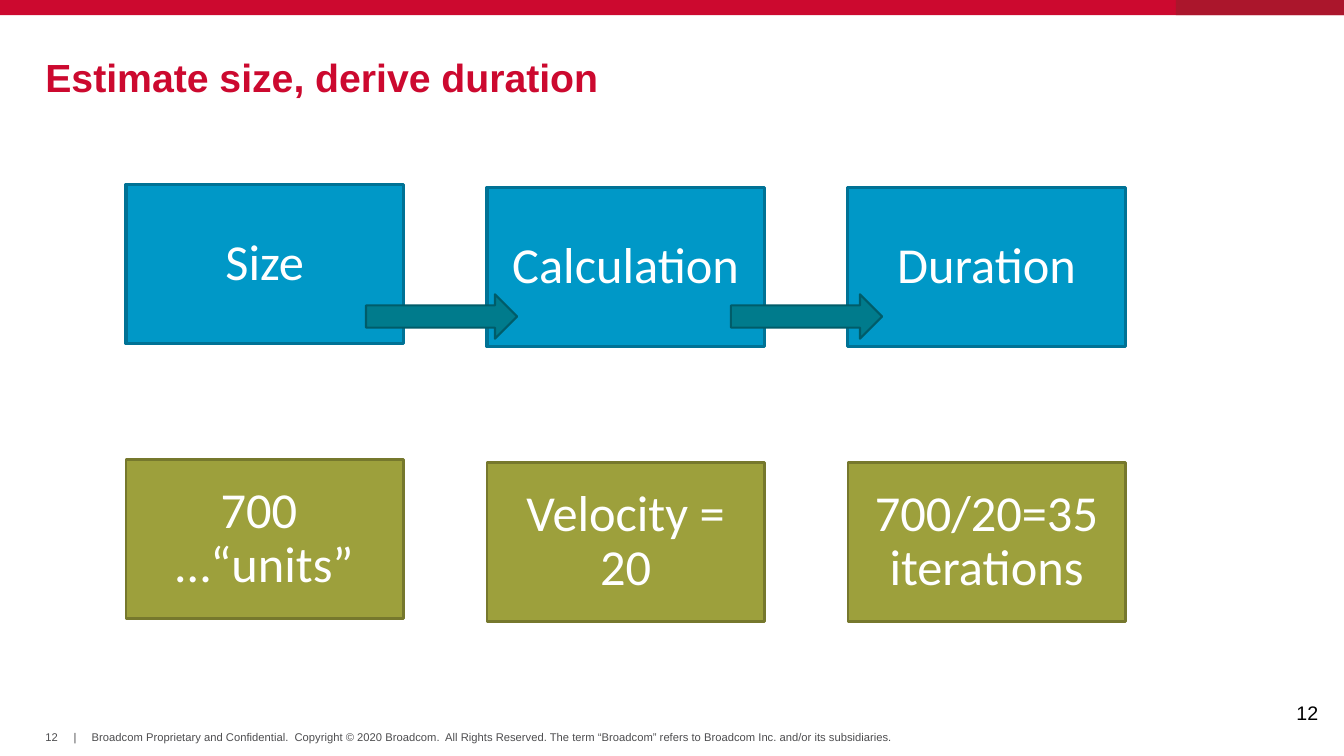
from pptx import Presentation
from pptx.dml.color import RGBColor
from pptx.enum.shapes import MSO_SHAPE
from pptx.enum.text import MSO_ANCHOR, PP_ALIGN
from pptx.util import Inches, Pt

RECT, ARROW = MSO_SHAPE.RECTANGLE, MSO_SHAPE.RIGHT_ARROW
TOP, MIDDLE = MSO_ANCHOR.TOP, MSO_ANCHOR.MIDDLE
LEFT, CENTER = PP_ALIGN.LEFT, PP_ALIGN.CENTER
TITLE_ONLY = 5

COLORS = {
    "red": "CC092F", "dark_red": "AB162C", "grey": "4D4D4F", "black": "000000",
    "white": "FFFFFF", "blue": "0098C7", "blue_edge": "007295",
    "teal": "007B8C", "teal_edge": "005C69", "olive": "9DA03C", "olive_edge": "76782D",
}
SLIDE_W, SLIDE_H = 13.33, 7.5
MARGIN = 0.45
BAND_H = SLIDE_H / 50
ACCENT_W = SLIDE_W / 8
FOOTER_Y, FOOTER_H = 7.25, 0.13
GRID_X, GRID_Y = 1.25, 1.83
COLUMN_STEP, ROW_STEP = 3.58, 2.73
BOX_W, BOX_H = 2.75, 1.58
COLUMN_DROPS = (0, 0.03, 0.03)
ARROW_X, ARROW_Y, ARROW_STEP = 3.63, 2.92, 3.62
ARROW_W, ARROW_H = 1.5, 0.44
PAGE = "12"
COPYRIGHT = ("Broadcom Proprietary and Confidential.  Copyright © 2020 Broadcom.  "
             "All Rights Reserved. The term “Broadcom” refers to Broadcom Inc. "
             "and/or its subsidiaries.")
STEPS = (["Size"], ["Calculation"], ["Duration"])
EXAMPLES = (["700 ", "…“units”"], ["Velocity = 20"], ["700/20=35 iterations"])


def rgb(name):
    """Return the named colour."""
    return RGBColor.from_string(COLORS[name])


def write(frame, lines, size, color, font="Arial", bold=False, align=LEFT,
          anchor=TOP, spacing=1.0, inset=(0, 0), wrap=True):
    """Fill a text frame with one formatted paragraph per line."""
    frame.word_wrap = wrap
    frame.vertical_anchor = anchor
    frame.margin_left = frame.margin_right = Inches(inset[0])
    frame.margin_top = frame.margin_bottom = Inches(inset[1])
    for index, line in enumerate(lines):
        paragraph = frame.add_paragraph() if index else frame.paragraphs[0]
        paragraph.alignment = align
        paragraph.line_spacing = spacing
        paragraph.space_before = Pt(0)
        run = paragraph.add_run()
        run.text = line
        run.font.name = font
        run.font.size = Pt(size)
        run.font.bold = bold
        run.font.color.rgb = rgb(color)


def add_label(slide, text, x, y, width, height, **style):
    """Add a text box holding one line."""
    label = slide.shapes.add_textbox(*map(Inches, (x, y, width, height)))
    write(label.text_frame, [text], **style)


def add_block(slide, kind, x, y, width, height, fill, edge=None, edge_width=0):
    """Add a filled shape with an optional outline."""
    block = slide.shapes.add_shape(kind, *map(Inches, (x, y, width, height)))
    block.shadow.inherit = False
    block.fill.solid()
    block.fill.fore_color.rgb = rgb(fill)
    if edge:
        block.line.color.rgb = rgb(edge)
        block.line.width = Pt(edge_width)
    else:
        block.line.fill.background()
    return block


def add_box_row(slide, row, texts, fill, edge, edge_width):
    """Add one grid row of captioned boxes."""
    for column, (lines, drop) in enumerate(zip(texts, COLUMN_DROPS)):
        box = add_block(slide, RECT, GRID_X + column * COLUMN_STEP,
                        GRID_Y + row * ROW_STEP + drop, BOX_W, BOX_H,
                        fill, edge, edge_width)
        write(box.text_frame, lines, 36, "white", font="Calibri", align=CENTER,
              anchor=MIDDLE, spacing=0.9, inset=(0.14, 0.05))


def add_title(slide, text):
    """Place and format the title placeholder."""
    title = slide.shapes.title
    title.left, title.top = Inches(MARGIN), Inches(0.6)
    title.width, title.height = Inches(SLIDE_W - 2 * MARGIN), Inches(0.4)
    write(title.text_frame, [text], 28, "red", bold=True, anchor=MIDDLE, spacing=0.85)


def add_frame(slide):
    """Add the top band, footer and page number."""
    add_block(slide, RECT, 0, 0, SLIDE_W, BAND_H, "red")
    add_block(slide, RECT, SLIDE_W - ACCENT_W, 0, ACCENT_W, BAND_H, "dark_red")
    for text, x, width, anchor in ((PAGE, MARGIN, 0.14, MIDDLE),
                                   ("|", 0.73, 0.03, MIDDLE),
                                   (COPYRIGHT, 0.91, 8.01, TOP)):
        add_label(slide, text, x, FOOTER_Y, width, FOOTER_H,
                  size=8, color="grey", anchor=anchor, wrap=False)
    add_label(slide, PAGE, 12.76, 6.9, 0.57, 0.4,
              size=14, color="black", inset=(0.1, 0.05))


def main():
    """Build and save the slide."""
    deck = Presentation()
    deck.slide_width, deck.slide_height = Inches(SLIDE_W), Inches(SLIDE_H)
    slide = deck.slides.add_slide(deck.slide_layouts[TITLE_ONLY])
    add_frame(slide)
    add_title(slide, "Estimate size, derive duration")
    add_box_row(slide, 0, STEPS, "blue", "blue_edge", 2.25)
    for gap in range(len(STEPS) - 1):
        add_block(slide, ARROW, ARROW_X + gap * ARROW_STEP, ARROW_Y,
                  ARROW_W, ARROW_H, "teal", "teal_edge", 1.5)
    add_box_row(slide, 1, EXAMPLES, "olive", "olive_edge", 2)
    deck.save("out.pptx")


if __name__ == "__main__":
    main()
